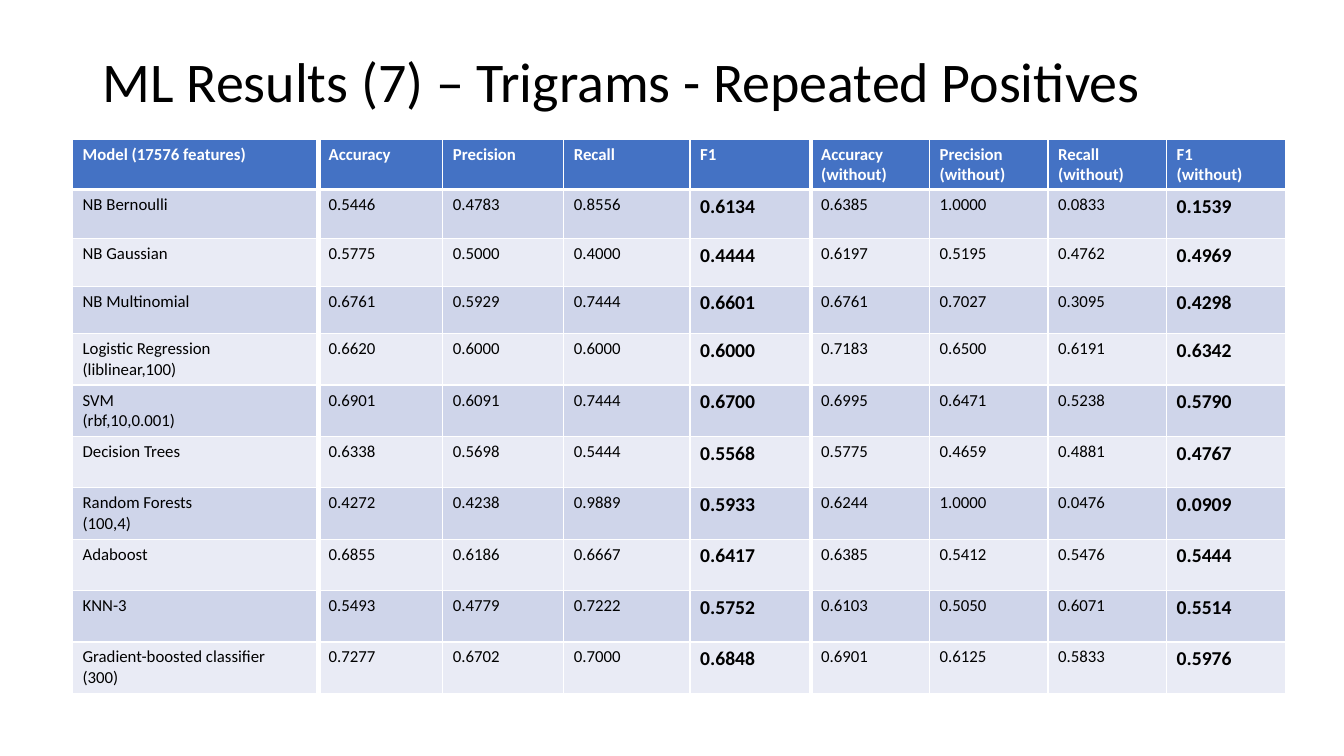
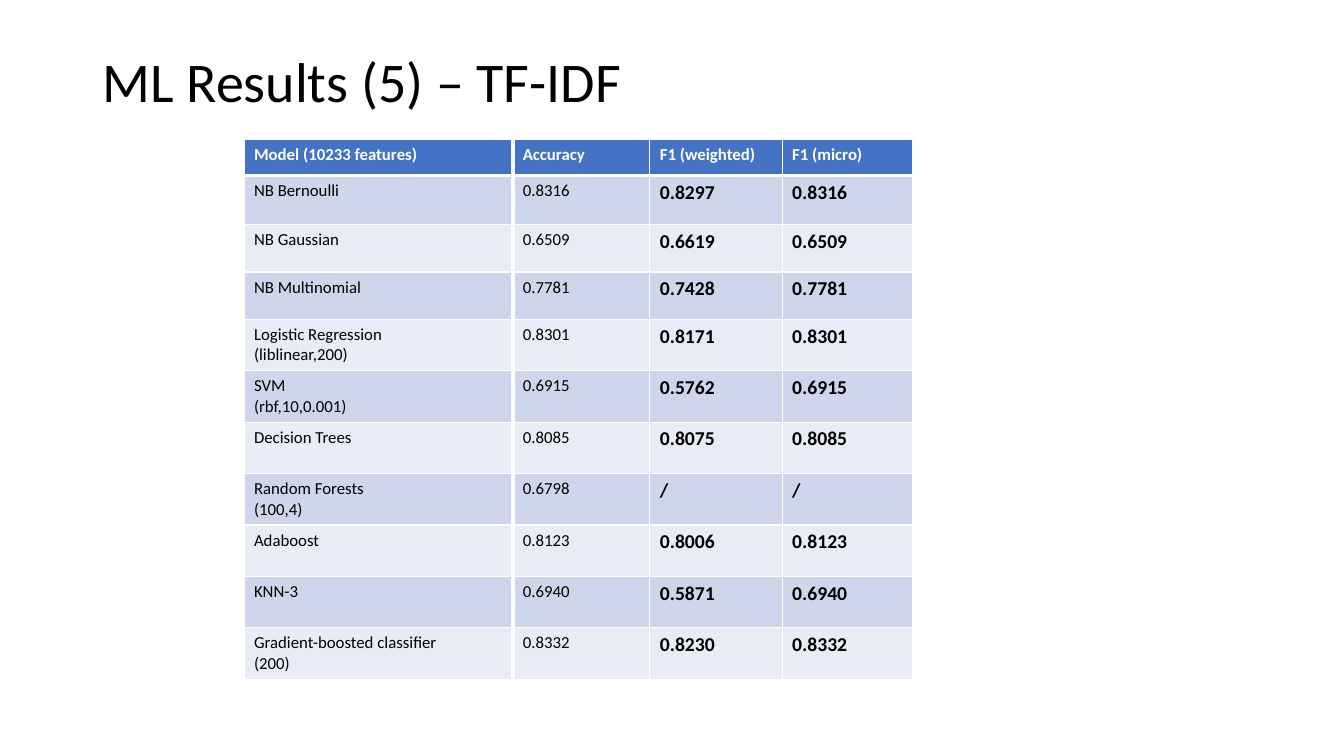
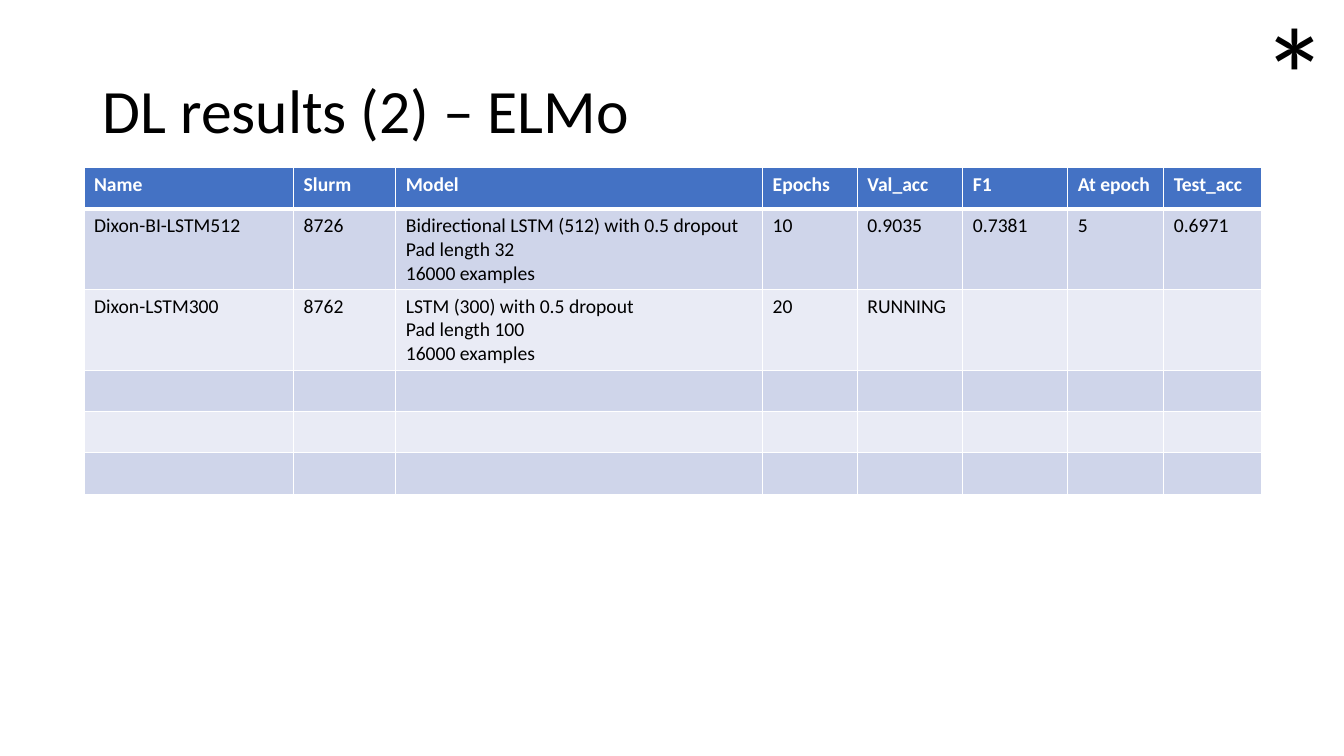
from lxml.etree import SubElement as Sub
from pptx import Presentation as Deck
from pptx.dml.color import RGBColor as Rgb
from pptx.enum.shapes import MSO_CONNECTOR as Link
from pptx.enum.text import MSO_ANCHOR as Anchor, MSO_AUTO_SIZE as Auto
from pptx.oxml.ns import qn
from pptx.util import Inches, Pt


def hue(code):
    return Rgb.from_string(code)


class Page:
    """Draws styled slides, with lengths in percent of the slide's size."""

    FONT = "Calibri"
    INK, PAPER, HEAD = "000000", "FFFFFF", "4472C4"
    BANDS = "CFD5EA", "E9EBF5"
    THIN, THICK = 1, 3

    def __init__(self):
        self.deck = Deck()
        self.deck.slide_width = Inches(13.33)
        self.deck.slide_height = Inches(7.5)
        self.slide = None

    def across(self, share):
        return round(self.deck.slide_width * share / 100)

    def down(self, share):
        return round(self.deck.slide_height * share / 100)

    def box(self, left, top, width, height):
        return (self.across(left), self.down(top),
                self.across(width), self.down(height))

    def start(self, title, top=1.47, size=40):
        self.slide = self.deck.slides.add_slide(self.deck.slide_layouts[6])
        frame = self.text(title, (6.9, top, 86.25, 19.33), size)
        frame.vertical_anchor = Anchor.MIDDLE
        frame.paragraphs[0].line_spacing = 0.9

    def style(self, frame, size, color, bold=False):
        for para in frame.paragraphs:
            for run in para.runs:
                font = run.font
                font.name, font.size, font.bold = self.FONT, Pt(size), bold
                font.color.rgb = hue(color)

    def text(self, words, area, size, wrap=True):
        frame = self.slide.shapes.add_textbox(*self.box(*area)).text_frame
        frame.word_wrap = wrap
        frame.text = words
        self.style(frame, size, self.INK)
        return frame

    def edge(self, cell, sides):
        props = cell._tc.get_or_add_tcPr()
        for side in "LRTB":
            line = Sub(props, qn(f"a:ln{side}"), w=str(Pt(sides.get(side, self.THIN))))
            fill = Sub(line, qn("a:solidFill"))
            Sub(fill, qn("a:srgbClr"), val=self.PAPER)

    def cell(self, cell, words, row, size, bold):
        self.edge(cell, {0: {"B": self.THICK}, 1: {"T": self.THICK}}.get(row, {}))
        cell.fill.solid()
        cell.fill.fore_color.rgb = hue(self.BANDS[(row - 1) % 2] if row else self.HEAD)
        if words:
            cell.text_frame.text = words
            self.style(cell.text_frame, size, self.INK if row else self.PAPER,
                       bold or row == 0)

    def table(self, left, top, cols, rows, data, size=12, strong=()):
        area = self.box(left, top, sum(cols), sum(rows))
        grid = self.slide.shapes.add_table(len(rows), len(cols), *area).table
        grid.horz_banding = False
        for col, width in zip(grid.columns, cols):
            col.width = self.across(width)
        for row, height in zip(grid.rows, rows):
            row.height = self.down(height)
        for r, line in enumerate(data):
            for c, words in enumerate(line):
                bold = r > 0 and c in strong
                self.cell(grid.cell(r, c), words, r, 14 if bold else size, bold)

    def rule(self, x, top, height):
        line = self.slide.shapes.add_connector(
            Link.STRAIGHT, self.across(x), self.down(top),
            self.across(x), self.down(top + height))
        line.line.color.rgb = hue(self.PAPER)
        line.line.width = Pt(self.THICK)
        Sub(line._element.spPr, qn("a:effectLst"))

    def scores(self, left, cols, heads, steps, trees, marks, strong, splits):
        top = 18.4
        names = ["NB Bernoulli", "NB Gaussian", "NB Multinomial",
                 f"Logistic Regression\n(liblinear,{steps})",
                 "SVM\n(rbf,10,0.001)", "Decision Trees",
                 "Random Forests\n(100,4)", "Adaboost", "KNN-3",
                 f"Gradient-boosted classifier\n({trees})"]
        data = [heads] + [[name, *line.split()] for name, line in zip(names, marks)]
        rows = [4.8, 6.53, 6.27, 6.27] + [6.8] * 7
        self.table(left, top, cols, rows, data, strong=strong)
        for count in splits:
            self.rule(left + sum(cols[:count]), top, 73.33)


def main():
    page = Page()

    page.start("ML Results (7) – Trigrams - Repeated Positives")
    kinds = ["Accuracy", "Precision", "Recall", "F1"]
    heads = (["Model (17576 features)"] + kinds
             + [f"{kind} (without)" for kind in kinds[:3]] + ["F1\n(without)"])
    page.scores(5.4, [18.3, 9.25, 9, 9.4, 9] + [8.82] * 4, heads, 100, 300, [
        "0.5446 0.4783 0.8556 0.6134 0.6385 1.0000 0.0833 0.1539",
        "0.5775 0.5000 0.4000 0.4444 0.6197 0.5195 0.4762 0.4969",
        "0.6761 0.5929 0.7444 0.6601 0.6761 0.7027 0.3095 0.4298",
        "0.6620 0.6000 0.6000 0.6000 0.7183 0.6500 0.6191 0.6342",
        "0.6901 0.6091 0.7444 0.6700 0.6995 0.6471 0.5238 0.5790",
        "0.6338 0.5698 0.5444 0.5568 0.5775 0.4659 0.4881 0.4767",
        "0.4272 0.4238 0.9889 0.5933 0.6244 1.0000 0.0476 0.0909",
        "0.6855 0.6186 0.6667 0.6417 0.6385 0.5412 0.5476 0.5444",
        "0.5493 0.4779 0.7222 0.5752 0.6103 0.5050 0.6071 0.5514",
        "0.7277 0.6702 0.7000 0.6848 0.6901 0.6125 0.5833 0.5976",
    ], strong=(4, 8), splits=(5, 1))

    page.start("ML Results (5) – TF-IDF")
    heads = ["Model (10233 features)", "Accuracy", "F1 (weighted)", "F1 (micro)"]
    page.scores(18.15, [20, 10.2, 9.85, 9.85], heads, 200, 200, [
        "0.8316 0.8297 0.8316",
        "0.6509 0.6619 0.6509",
        "0.7781 0.7428 0.7781",
        "0.8301 0.8171 0.8301",
        "0.6915 0.5762 0.6915",
        "0.8085 0.8075 0.8085",
        "0.6798 / /",
        "0.8123 0.8006 0.8123",
        "0.6940 0.5871 0.6940",
        "0.8332 0.8230 0.8332",
    ], strong=(2, 3), splits=(4, 1))

    page.start("DL results (2) – ELMo", top=5.33, size=44)
    blank = [""] * 8
    page.table(6.25, 22.13, [15.6, 7.6, 27.3, 7.05, 7.85, 7.8, 7.15, 7.3], [5.47] * 6, [
        ["Name", "Slurm", "Model", "Epochs", "Val_acc", "F1", "At epoch", "Test_acc"],
        ["Dixon-BI-LSTM512", "8726",
         "Bidirectional LSTM (512) with 0.5 dropout\nPad length 32\n16000 examples",
         "10", "0.9035", "0.7381", "5", "0.6971"],
        ["Dixon-LSTM300", "8762",
         "LSTM (300) with 0.5 dropout\nPad length 100\n16000 examples",
         "20", "RUNNING", "", "", ""],
        blank, blank, blank,
    ], size=14)
    star = page.text("*", (93.1, -2, 6.53, 22.93), 96, wrap=False)
    star.auto_size = Auto.SHAPE_TO_FIT_TEXT

    page.deck.save("out.pptx")


if __name__ == "__main__":
    main()
